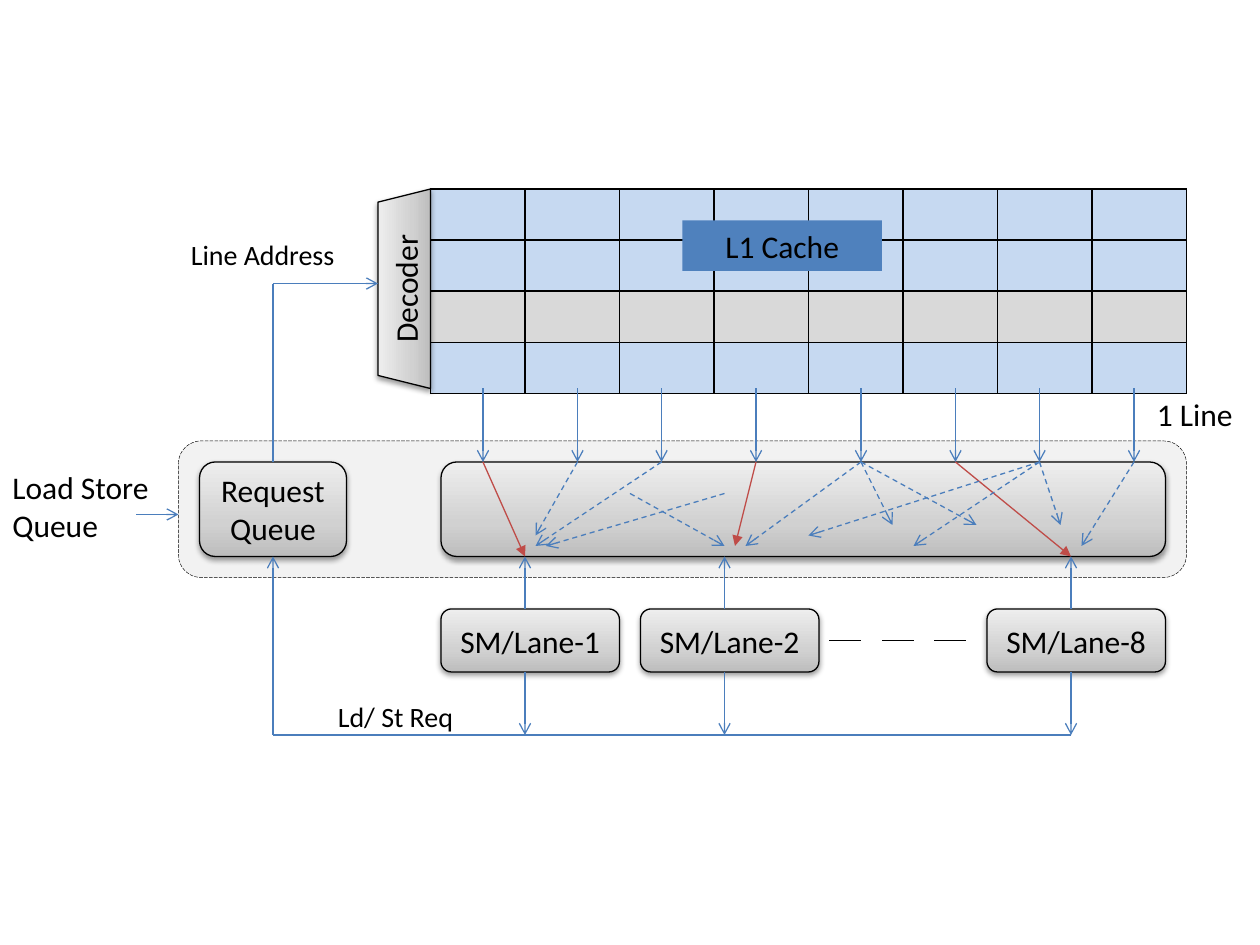
from copy import deepcopy

from pptx import Presentation
from pptx import util as u
from pptx.dml.color import RGBColor
from pptx.enum import dml, shapes, text
from pptx.oxml import parse_xml
from pptx.oxml.ns import nsdecls, qn

PX = 7620  # EMU per px, 120 px to the inch
BLACK, BLUE, RED = "000000", "4B7EBC", "BF4C48"
CELL_BLUE, CELL_GREY = "C6D9F1", "D9D9D9"
GRADIENT = [(0, "BDBDBD"), (0.35, "D1D1D1"), (1, "EEEEEE")]
PRESET = shapes.MSO_SHAPE
DASH = dml.MSO_LINE


def px(*lengths):
    return [u.Emu(length * PX) for length in lengths]


def rgb(value):
    return RGBColor.from_string(value)


def xml(markup):
    """Make one element; {ns} in its start tag becomes the namespace."""
    return parse_xml(markup.replace("{ns}", nsdecls("a")))


def apply(target, formats):
    for name, value in formats.items():
        setattr(target, name, value)


class Diagram:
    font = "Calibri"
    line_width = 0.75

    def __init__(self, slide):
        self.slide = slide

    def caption(self, shape, words, size, align, anchor):
        frame = shape.text_frame
        apply(frame, {"word_wrap": True, "vertical_anchor": anchor})
        paragraph = frame.paragraphs[0]
        paragraph.alignment = align
        run = paragraph.add_run()
        run.text = words
        apply(run.font, {"name": self.font, "size": u.Pt(size)})
        run.font.color.rgb = rgb(BLACK)

    def label(self, box, words, size=18):
        shape = self.slide.shapes.add_textbox(*px(*box))
        self.caption(shape, words, size, text.PP_ALIGN.LEFT, text.MSO_ANCHOR.TOP)

    def flat(self, preset, box, fill, outline=None, words=None):
        shape = self.slide.shapes.add_shape(preset, *px(*box))
        shape.shadow.inherit = False
        shape.fill.solid()
        shape.fill.fore_color.rgb = rgb(fill)
        if outline:
            shape.line.color.rgb = rgb(BLACK)
            apply(shape.line, outline)
        else:
            shape.line.fill.background()
        if words:
            self.caption(shape, words, 18, text.PP_ALIGN.CENTER, text.MSO_ANCHOR.TOP)

    def block(self, box, words=None, preset=PRESET.ROUNDED_RECTANGLE, rotation=0):
        shape = self.slide.shapes.add_shape(preset, *px(*box))
        shape.rotation = rotation
        shape.line.color.rgb = rgb(BLACK)
        shape.line.width = u.Pt(self.line_width)
        # Gradient, darkest at the bottom
        shape.fill.gradient()
        shape.fill.gradient_angle = 90
        stops = shape.element.spPr.find(qn("a:gradFill")).find(qn("a:gsLst"))
        stops.insert(1, deepcopy(stops[0]))
        for stop, (position, color) in zip(shape.fill.gradient_stops, GRADIENT):
            stop.position = position
            stop.color.rgb = rgb(color)
        # Soft shadow below
        shape.shadow.inherit = False
        shape.element.spPr.find(qn("a:effectLst")).append(xml(
            '<a:outerShdw {ns} blurRad="40000" dist="20000" dir="5400000" rotWithShape="0">'
            '<a:srgbClr val="000000"><a:alpha val="38000"/></a:srgbClr></a:outerShdw>'))
        if words:
            self.caption(shape, words, 18, text.PP_ALIGN.CENTER, text.MSO_ANCHOR.MIDDLE)

    def line(self, ends, color=BLUE, tip=None, dash=None):
        connector = self.slide.shapes.add_connector(
            shapes.MSO_CONNECTOR.STRAIGHT, *px(*ends))
        connector.line.color.rgb = rgb(color)
        apply(connector.line, {"width": u.Pt(self.line_width), "dash_style": dash})
        properties = connector.element.spPr
        if tip:
            properties.find(qn("a:ln")).append(xml(f'<a:tailEnd {{ns}} type="{tip}"/>'))
        properties.append(xml("<a:effectLst {ns}/>"))

    def grid(self, box, row_fills, columns):
        table = self.slide.shapes.add_table(len(row_fills), columns, *px(*box)).table
        apply(table, {"first_row": False, "horz_banding": False})
        for row, fill in zip(table.rows, row_fills):
            for cell in row.cells:
                properties = cell._tc.get_or_add_tcPr()
                for side in ("lnL", "lnR", "lnT", "lnB"):
                    properties.append(xml(
                        f'<a:{side} {{ns}} w="12700"><a:solidFill>'
                        f'<a:srgbClr val="{BLACK}"/></a:solidFill></a:{side}>'))
                cell.fill.solid()
                cell.fill.fore_color.rgb = rgb(fill)


def main():
    deck = Presentation()
    deck.slide_width, deck.slide_height = px(1200, 900)
    diagram = Diagram(deck.slides.add_slide(deck.slide_layouts[6]))

    # Load/store unit with its crossbar and request queue
    diagram.flat(PRESET.ROUNDED_RECTANGLE, (170, 420, 960, 130), "F2F2F2",
                 {"width": u.Pt(0.25), "dash_style": DASH.LONG_DASH})
    diagram.block((420, 440, 690, 90))
    diagram.block((190, 440, 140, 90), "Request Queue")

    # Lanes: left edge, arrow position, number
    for left, arrow, number in ((420, 500, 1), (610, 690, 2), (940, 1020, 8)):
        diagram.block((left, 580, 170, 60), f"SM/Lane-{number}")
        diagram.line((arrow, 580, arrow, 530), tip="arrow")
        diagram.line((arrow, 640, arrow, 700), tip="arrow")
    for left in (790, 840, 890):
        diagram.line((left, 610, left + 30, 610), BLACK)

    # L1 cache, one line highlighted
    diagram.grid((410, 180, 720, 192), [CELL_BLUE, CELL_BLUE, CELL_GREY, CELL_BLUE], 8)
    diagram.flat(PRESET.RECTANGLE, (650, 210, 190, 48), "4F81BD", words="L1 Cache")
    diagram.block((290, 250, 190, 50), "Decoder", PRESET.TRAPEZOID, 270)

    # Cache words entering the crossbar
    for x in (460, 550, 630, 720, 820, 910, 990, 1080):
        diagram.line((x, 370, x, 440), tip="arrow")

    # Chosen and possible routes through the crossbar
    for route in ((460, 440, 500, 530), (910, 440, 1020, 530), (720, 440, 700, 520)):
        diagram.line(route, RED, "triangle")
    for route in (
        (600, 470, 690, 520), (550, 440, 510, 510), (630, 440, 510, 520),
        (1080, 440, 1030, 520), (820, 440, 710, 520), (820, 440, 930, 500),
        (690, 470, 520, 520), (820, 440, 850, 500), (990, 440, 770, 510),
        (990, 440, 870, 520), (990, 440, 1010, 500),
    ):
        diagram.line(route, tip="arrow", dash=DASH.DASH)

    # Request path back to the queue and on to the decoder
    diagram.line((1020, 700, 260, 700))
    diagram.line((260, 700, 260, 530), tip="arrow")
    diagram.line((260, 440, 260, 270))
    diagram.line((260, 270, 360, 270), tip="arrow")
    diagram.line((130, 490, 170, 490), tip="arrow")

    # Labels
    diagram.label((1090, 370, 220, 48), "1 Line")
    diagram.label((170, 220, 190, 44), "Line Address", 16)
    diagram.label((310, 660, 190, 44), "Ld/ St Req", 16)
    diagram.label((0, 440, 210, 121), "Load Store Queue")

    deck.save("out.pptx")


if __name__ == "__main__":
    main()
